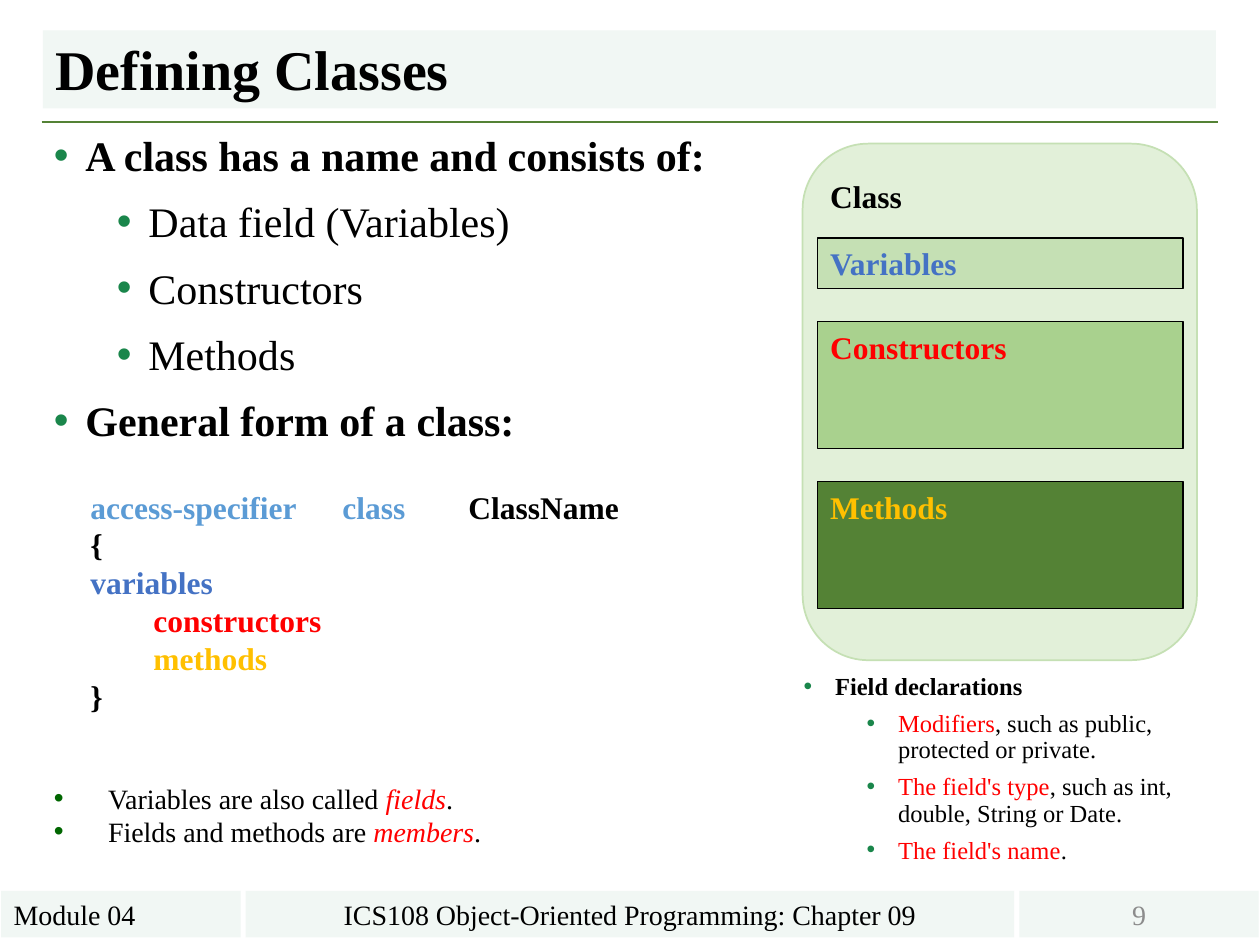
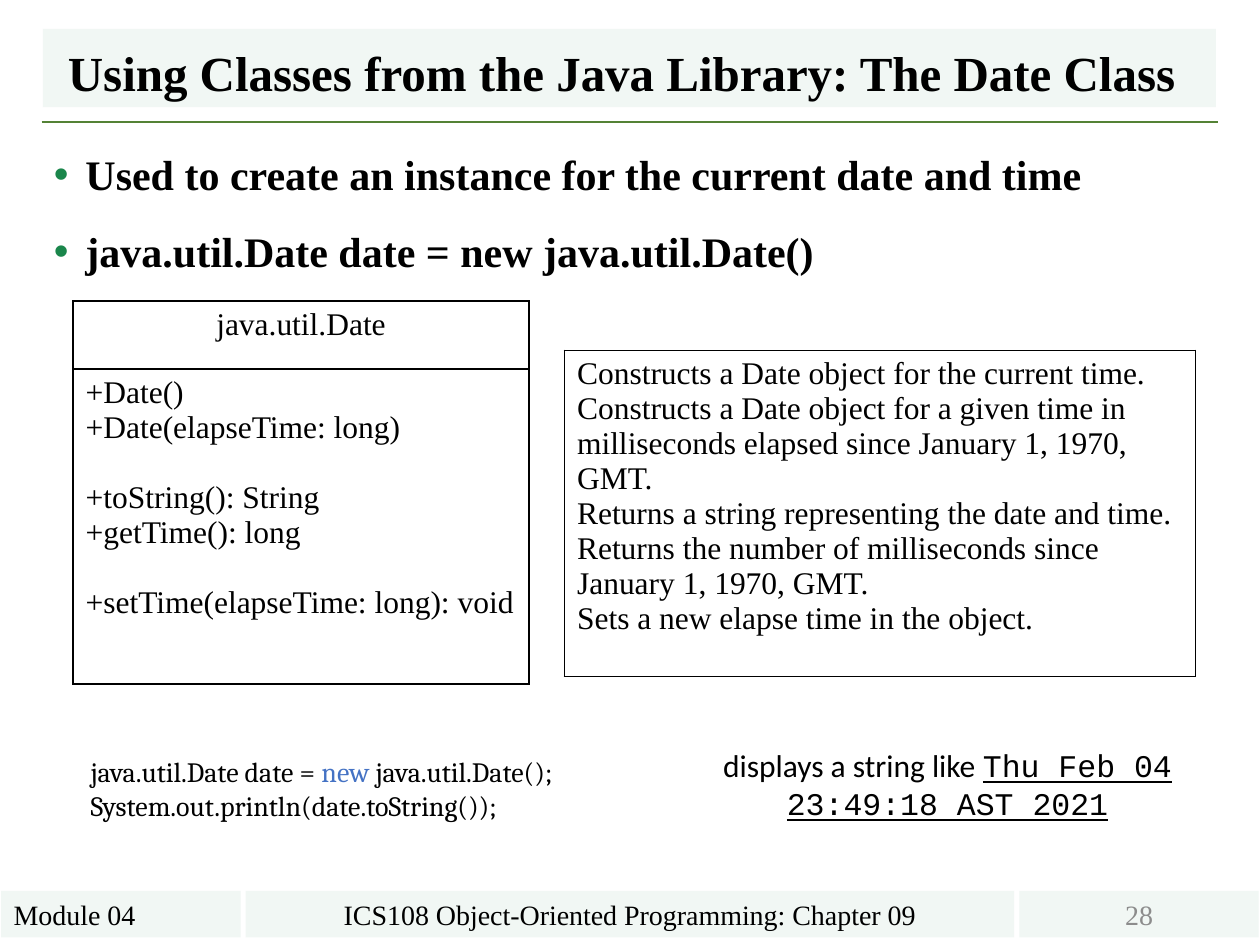
import pptx
import pptx.dml.color
import pptx.enum.shapes
import pptx.enum.text
import pptx.oxml.ns
import pptx.util
from lxml import etree

COLUMNS, ROWS = 100, 75
CELL = pptx.util.Inches(0.1)
SERIF = "Times New Roman"
SINGLE, TIGHT, TABLE = 1.2, 1.08, 1.11  # line heights per point of text size

COLORS = {
    "black": "000000", "band": "F1F7F4", "rule": "548235", "number": "8C8C8C",
    "bullet": "1A864B", "note bullet": "006600", "red": "FF0000",
    "blue": "4472C4", "sky": "5B9BD5", "gold": "FFC000",
    "class": "E2F0D9", "light green": "C5E0B4", "mid green": "A9D18E",
}

ALIGN = pptx.enum.text.PP_ALIGN
ANCHOR = pptx.enum.text.MSO_ANCHOR
SHAPE = pptx.enum.shapes.MSO_SHAPE


def rgb(name):
    return pptx.dml.color.RGBColor.from_string(COLORS[name])


def grid(*cells):
    return [round(cell * CELL) for cell in cells]


def child(parent, tag, **attributes):
    return etree.SubElement(parent, pptx.oxml.ns.qn(tag), attributes)


def add_line(frame, *runs, size=18, font=SERIF, color="black", bold=False,
             align=ALIGN.LEFT, leading=SINGLE, before=0, margin=0, hanging=0,
             bullet=None, tabs=()):
    """Add one paragraph; a run is a string or (string, dict of differences)."""
    first = not frame.paragraphs[0].runs
    line = frame.paragraphs[0] if first else frame.add_paragraph()
    properties = line._p.get_or_add_pPr()
    left, hang = grid(margin, hanging)
    properties.set("marL", str(left))
    properties.set("indent", str(-hang))
    if bullet:
        child(child(properties, "a:buClr"), "a:srgbClr", val=COLORS[bullet])
        child(properties, "a:buFont", typeface="Arial")
        child(properties, "a:buChar", char="•")
    if tabs:
        stops = child(properties, "a:tabLst")
        for stop in grid(*tabs):
            child(stops, "a:tab", pos=str(stop), algn="l")
    line.alignment = align
    line.line_spacing = pptx.util.Pt(round(size * leading, 2))
    line.space_before = pptx.util.Pt(0 if first else before)
    for run in runs:
        words, changes = (run, {}) if isinstance(run, str) else run
        part = line.add_run()
        part.text = words
        part.font.size = pptx.util.Pt(size)
        part.font.name = changes.get("font", font)
        part.font.bold = bold
        part.font.italic = changes.get("italic", False)
        part.font.underline = changes.get("underline", False)
        part.font.color.rgb = rgb(changes.get("color", color))


def add_bullet(frame, *runs, level=0, **style):
    add_line(frame, *runs, margin=2.5 + 5 * level, hanging=2.5,
             bullet="bullet", leading=TIGHT, bold=level == 0, **style)


def add_text(slide, *place):
    frame = slide.shapes.add_textbox(*grid(*place)).text_frame
    frame.word_wrap = True
    return frame


def add_box(slide, *place, fill, line=None, width=0.75, kind=SHAPE.RECTANGLE,
            anchor=ANCHOR.TOP):
    """Add a filled shape and return its text frame."""
    box = slide.shapes.add_shape(kind, *grid(*place))
    box.shadow.inherit = False
    box.fill.solid()
    box.fill.fore_color.rgb = rgb(fill)
    if line:
        box.line.color.rgb = rgb(line)
        box.line.width = pptx.util.Pt(width)
    else:
        box.line.fill.background()
    box.text_frame.word_wrap = True
    box.text_frame.vertical_anchor = anchor
    return box.text_frame


def add_table(slide, *place, row_heights):
    """Add a one-column table with thin black borders; return its text frames."""
    table = slide.shapes.add_table(len(row_heights), 1, *grid(*place)).table
    table.first_row = table.horz_banding = False
    frames = []
    for row, height in zip(table.rows, grid(*row_heights)):
        row.height = height
        cell = row.cells[0]
        properties = cell._tc.get_or_add_tcPr()
        for side in ("a:lnL", "a:lnR", "a:lnT", "a:lnB"):
            border = child(properties, side, w=str(pptx.util.Pt(1)))
            child(child(border, "a:solidFill"), "a:srgbClr", val=COLORS["black"])
        cell.fill.background()
        frames.append(cell.text_frame)
    return frames


def add_page(deck, title, number, title_top=2.4, title_size=32, title_margin=0):
    """Add a slide with the shared rule, footer bands and title band."""
    slide = deck.slides.add_slide(deck.slide_layouts[6])
    x1, x2, y = grid(3.3, 96.7, 9.7)
    rule = slide.shapes.add_connector(
        pptx.enum.shapes.MSO_CONNECTOR.STRAIGHT, x1, y, x2, y)
    rule.line.color.rgb = rgb("rule")
    rule.line.width = pptx.util.Pt(1.5)
    child(rule._element.spPr, "a:effectLst")

    footers = [
        (19.5, 61, "ICS108 Object-Oriented Programming: Chapter 09", ALIGN.CENTER, "black"),
        (0.1, 19, "Module 04", ALIGN.LEFT, "black"),
        (80.9, 19, str(number), ALIGN.CENTER, "number"),
    ]
    for left, width, words, align, color in footers:
        band = add_box(slide, left, 70.7, width, 3.7, fill="band", anchor=ANCHOR.MIDDLE)
        add_line(band, words, size=16, align=align, color=color)

    heading = add_box(slide, 3.4, title_top, 93.1, 6.2, fill="band", anchor=ANCHOR.BOTTOM)
    add_line(heading, title, size=title_size, bold=True, leading=TIGHT,
             margin=title_margin)
    return slide


def add_class_diagram(slide):
    add_box(slide, 63.7, 11.4, 31.3, 41, fill="class", line="light green", width=1,
            kind=SHAPE.ROUNDED_RECTANGLE)
    add_line(add_text(slide, 64.9, 13.6, 11, 4), "Class", bold=True)
    members = [
        ("Variables", "blue", "light green", 4),
        ("Constructors", "red", "mid green", 10.1),
        ("Methods", "gold", "rule", 10.1),
    ]
    top, gap = 18.9, 2.6
    for name, color, fill, height in members:
        member = add_box(slide, 64.9, top, 29, height, fill=fill, line="black")
        add_line(member, name, color=color, bold=True)
        top += height + gap


def build_defining_classes(deck):
    slide = add_page(deck, "Defining Classes", 9)
    outline = add_text(slide, 3.3, 10.2, 60, 27)
    for words, level in [("A class has a name and consists of:", 0),
                         ("Data field (Variables)", 1), ("Constructors", 1),
                         ("Methods", 1), ("General form of a class:", 0)]:
        add_bullet(outline, words, level=level, size=24, before=12)

    add_class_diagram(slide)

    general_form = add_text(slide, 6.2, 38.2, 44.7, 16.2)
    add_line(general_form, ("access-specifier\tclass\t", {"color": "sky"}),
             "ClassName {", bold=True, tabs=(18.25, 25.1))
    for words, color, margin in [("variables", "blue", 0), ("constructors", "red", 5),
                                 ("methods", "gold", 5), ("}", "black", 0)]:
        add_line(general_form, words, color=color, margin=margin, bold=True)

    terms = add_text(slide, 3.3, 61.5, 60.4, 6.4)
    for words, term in [("Variables are also called ", "fields"),
                        ("Fields and methods are ", "members")]:
        add_line(terms, words, (term, {"color": "red", "italic": True}), ".",
                 size=16, margin=4.3, hanging=4.3, bullet="note bullet")

    declarations = add_text(slide, 62.8, 53, 34.6, 16.8)
    add_bullet(declarations, "Field declarations", size=14)
    for part, rest in [("Modifiers", ", such as public, protected or private."),
                       ("The field's type", ", such as int, double, String or Date."),
                       ("The field's name", ".")]:
        add_bullet(declarations, (part, {"color": "red"}), rest, level=1, size=14, before=6)


def build_date_class(deck):
    slide = add_page(deck, "Using Classes from the Java Library: The Date Class", 28,
                     title_top=2.3, title_size=28, title_margin=1)
    usage = add_text(slide, 3.3, 11.7, 93.4, 11)
    for words in ("Used to create an instance for the current date and time",
                  "java.util.Date date = new java.util.Date()"):
        add_bullet(usage, words, size=24, before=18)

    name, methods = add_table(slide, 5.8, 23.9, 36.2, 30.4, row_heights=(5.4, 25))
    add_line(name, "java.util.Date", align=ALIGN.CENTER, leading=TABLE)
    one_line = 20
    for signature, before in [("+Date()", 0), ("+Date(elapseTime: long)", 0),
                              ("+toString(): String", one_line),
                              ("+getTime(): long", 0),
                              ("+setTime(elapseTime: long): void", one_line)]:
        add_line(methods, signature, leading=TABLE, before=before)

    [meanings] = add_table(slide, 44.8, 27.8, 50.1, 25.9, row_heights=(25.9,))
    for meaning in (
            "Constructs a Date object for the current time.",
            "Constructs a Date object for a given time in milliseconds elapsed "
            "since January 1, 1970, GMT.",
            "Returns a string representing the date and time.",
            "Returns the number of milliseconds since January 1, 1970, GMT.",
            "Sets a new elapse time in the object."):
        add_line(meanings, meaning, leading=TABLE)

    code = add_text(slide, 6.2, 59.4, 45.1, 6.4)
    add_line(code, "java.util.Date date = ", ("new ", {"color": "blue"}),
             "java.util.Date();", size=16, font="Cambria")
    add_line(code, "System.out.println(date.toString());", size=16, font="Cambria")

    output = add_text(slide, 54.2, 58.7, 42, 7.1)
    add_line(output, "displays a string like ",
             ("Thu Feb 04 23:49:18 AST 2021", {"font": "Courier New", "underline": True}),
             font="Calibri", align=ALIGN.CENTER)


def main():
    deck = pptx.Presentation()
    deck.slide_width, deck.slide_height = grid(COLUMNS, ROWS)
    build_defining_classes(deck)
    build_date_class(deck)
    deck.save("out.pptx")


if __name__ == "__main__":
    main()
